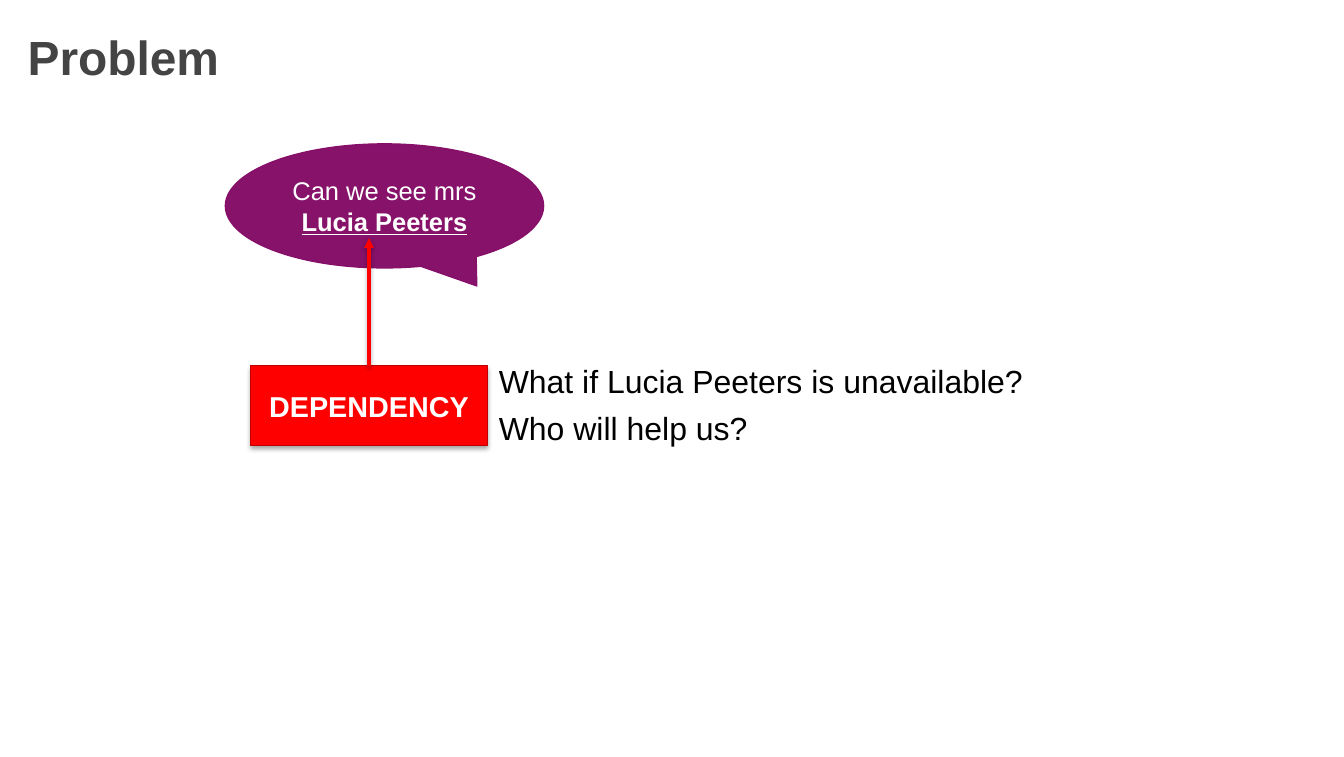
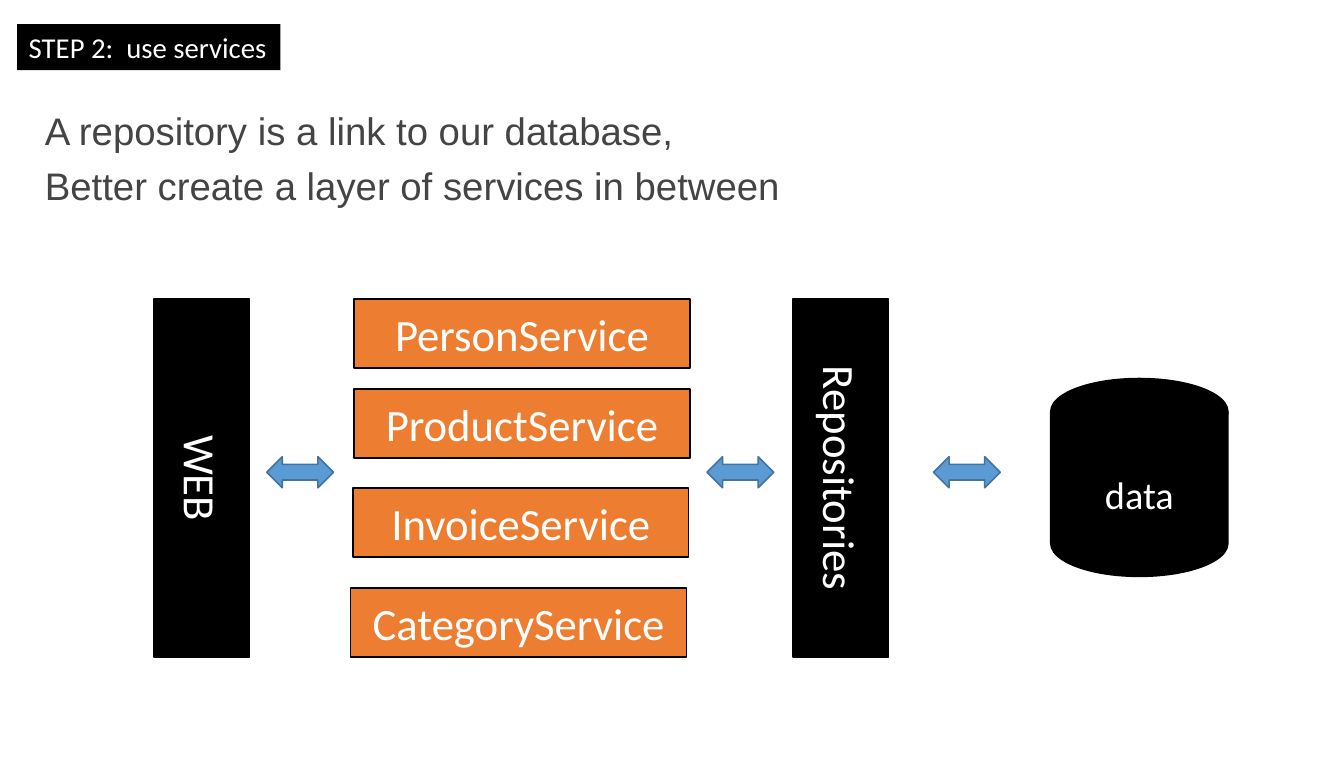
from dataclasses import dataclass
from lxml.etree import SubElement as Sub
from pptx import Presentation as Deck
from pptx.dml.color import RGBColor as Rgb
from pptx.enum.shapes import MSO_CONNECTOR as Link, MSO_SHAPE as Form
from pptx.enum.text import MSO_ANCHOR as Anchor, MSO_AUTO_SIZE as Fit, PP_ALIGN as Align
from pptx.oxml.ns import qn
from pptx.util import Inches, Pt


@dataclass(frozen=True)
class Theme:
    white: str = "FFFFFF"
    black: str = "000000"
    gray: str = "444444"
    red: str = "FF0000"
    wine: str = "C00000"
    plum: str = "86126A"
    grape: str = "860F69"
    orange: str = "ED7D31"
    blue: str = "5B9BD5"
    navy: str = "43739E"
    sans: str = "Arial"
    plain: str = "Calibri"
    head: int = 30
    large: int = 28
    body: int = 24
    note: int = 20
    label: int = 18
    small: int = 16


def write(para, text, *, size, color, face, bold=False, under=False, align=Align.LEFT):
    para.alignment = align
    run = para.add_run()
    run.text = text
    font = run.font
    font.name, font.size, font.bold, font.underline = face, Pt(size), bold, under
    font.color.rgb = Rgb.from_string(color)


def shade(shape, alpha=None, dist=0):
    for old in shape.element.spPr.findall(qn("a:effectLst")):
        shape.element.spPr.remove(old)
    group = Sub(shape.element.spPr, qn("a:effectLst"))
    if alpha:
        cast = Sub(group, qn("a:outerShdw"), blurRad=str(Pt(3.1)), dist=str(Pt(dist)),
                   dir="5400000", rotWithShape="0")
        tint = Sub(cast, qn("a:srgbClr"), val="000000")
        Sub(tint, qn("a:alpha"), val=str(alpha * 1000))


class Page:
    def __init__(self, deck, theme):
        self.deck, self.theme, self.slide = deck, theme, None

    def start(self, layout):
        self.slide = self.deck.slides.add_slide(self.deck.slide_layouts[layout])

    def place(self, shape, box):
        shape.left, shape.top, shape.width, shape.height = map(Inches, box)
        frame = shape.text_frame
        frame.auto_size, frame.word_wrap = Fit.NONE, True
        frame.vertical_anchor = Anchor.TOP
        return frame

    def flush(self, frame):
        frame.margin_left = frame.margin_right = frame.margin_top = frame.margin_bottom = 0

    def paint(self, shape, fill):
        shape.fill.solid()
        shape.fill.fore_color.rgb = Rgb.from_string(fill)

    def title(self, text, box):
        frame = self.place(self.slide.shapes.title, box)
        self.flush(frame)
        write(frame.paragraphs[0], text, size=self.theme.head, color=self.theme.gray,
              face=self.theme.sans, bold=True)

    def tag(self, text, box):
        shape = self.slide.shapes.title
        frame = self.place(shape, box)
        frame.word_wrap, frame.vertical_anchor = False, Anchor.MIDDLE
        self.paint(shape, self.theme.black)
        write(frame.paragraphs[0], text, size=self.theme.label, color=self.theme.white,
              face=self.theme.plain)

    def body(self, lines, box):
        frame = self.place(self.slide.placeholders[1], box)
        self.flush(frame)
        for row, text in enumerate(lines):
            para = frame.add_paragraph() if row else frame.paragraphs[0]
            para.space_before = Pt(5.5 if row else 0)
            props = para._p.get_or_add_pPr()
            props.set("marL", "0")
            props.set("indent", "0")
            Sub(props, qn("a:buNone"))
            write(para, text, size=self.theme.body, color=self.theme.gray, face=self.theme.sans)

    def note(self, text, box):
        frame = self.place(self.slide.shapes.add_textbox(0, 0, 0, 0), box)
        frame.word_wrap = False
        write(frame.paragraphs[0], text, size=self.theme.note, color=self.theme.black,
              face=self.theme.sans)

    def shape(self, form, box, fill, edge, text="", width=1, turn=False, **style):
        item = self.slide.shapes.add_shape(form, *map(Inches, box))
        item.shadow.inherit = False
        self.paint(item, fill)
        item.line.color.rgb = Rgb.from_string(edge)
        item.line.width = Pt(width)
        frame = item.text_frame
        frame.word_wrap, frame.vertical_anchor = True, Anchor.MIDDLE
        if turn:
            item.element.txBody.bodyPr.set("vert", "vert")
        if text:
            look = dict(size=self.theme.large, color=self.theme.white,
                        face=self.theme.plain, align=Align.CENTER)
            write(frame.paragraphs[0], text, **{**look, **style})
        return item

    def arrow(self, start, end, color, width):
        line = self.slide.shapes.add_connector(Link.STRAIGHT, *map(Inches, start + end))
        line.line.color.rgb = Rgb.from_string(color)
        line.line.width = Pt(width)
        Sub(line.line._get_or_add_ln(), qn("a:tailEnd"), type="triangle")
        shade(line, 38, 1.6)


def problem(page):
    theme = page.theme
    page.start(5)
    page.title("Problem", (0.24, 0.24, 11.23, 0.65))
    speech = page.shape(Form.OVAL_CALLOUT, (1.96, 1.25, 2.77, 1.08), theme.plum, theme.grape,
                        "Can we see mrs ", width=0.75, size=theme.small, face=theme.sans)
    speech.adjustments[0], speech.adjustments[1] = 0.29, 0.645
    write(speech.text_frame.paragraphs[0], "Lucia Peeters", size=theme.small, color=theme.white,
          face=theme.sans, bold=True, under=True, align=Align.CENTER)
    block = page.shape(Form.RECTANGLE, (2.18, 3.18, 2.06, 0.69), theme.red, theme.wine,
                       "DEPENDENCY", width=0.75, size=theme.label, face=theme.sans, bold=True)
    shade(block, 35, 1.8)
    page.arrow((3.21, 3.18), (3.21, 2.07), theme.red, 2)
    page.note("What if Lucia Peeters is unavailable?", (4.24, 3.09, 4.8, 0.44))
    page.note("Who will help us?", (4.24, 3.5, 2.39, 0.44))


def layers(page):
    theme = page.theme
    page.start(1)
    page.tag("STEP 2:  use services", (0.15, 0.21, 2.29, 0.4))
    page.body(("A repository is a link to our database,",
               "Better create a layer of services in between"), (0.39, 0.93, 11.08, 1.2))
    for text, left in (("WEB", 1.34), ("Repositories", 6.9)):
        page.shape(Form.RECTANGLE, (left, 2.6, 0.83, 3.11), theme.black, theme.black,
                   text, turn=True)
    page.shape(Form.FLOWCHART_MAGNETIC_DISK, (9.14, 3.29, 1.54, 1.72), theme.black, theme.black,
               "data", size=theme.body)
    for name, left, top in (("Person", 3.08, 2.6), ("Product", 3.08, 3.38),
                            ("Invoice", 3.07, 4.24), ("Category", 3.05, 5.11)):
        page.shape(Form.RECTANGLE, (left, top, 2.92, 0.6), theme.orange, theme.black,
                   name + "Service")
    for left in (2.32, 6.15, 8.12):
        page.shape(Form.LEFT_RIGHT_ARROW, (left, 3.97, 0.58, 0.27), theme.blue, theme.navy)


def main():
    deck = Deck()
    deck.slide_width, deck.slide_height = Inches(11.69), Inches(6.58)
    page = Page(deck, Theme())
    problem(page)
    layers(page)
    deck.save("out.pptx")


if __name__ == "__main__":
    main()
